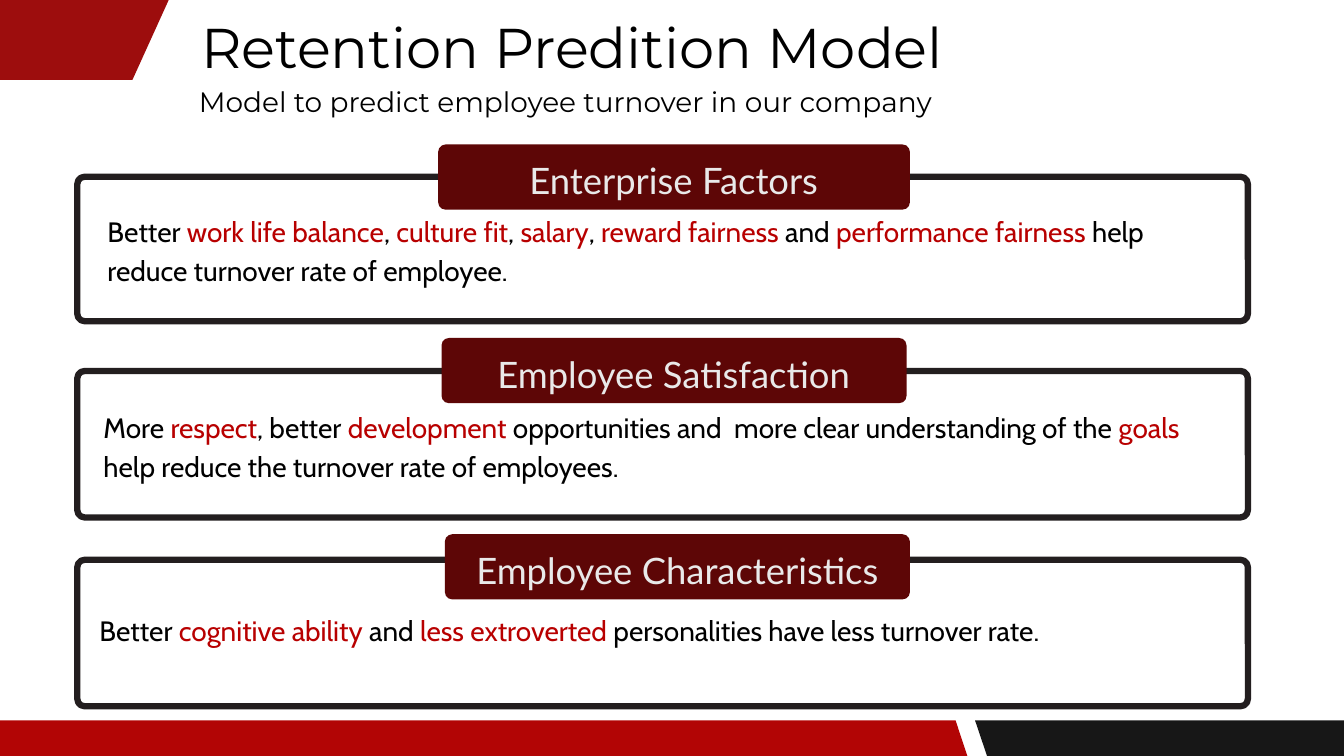
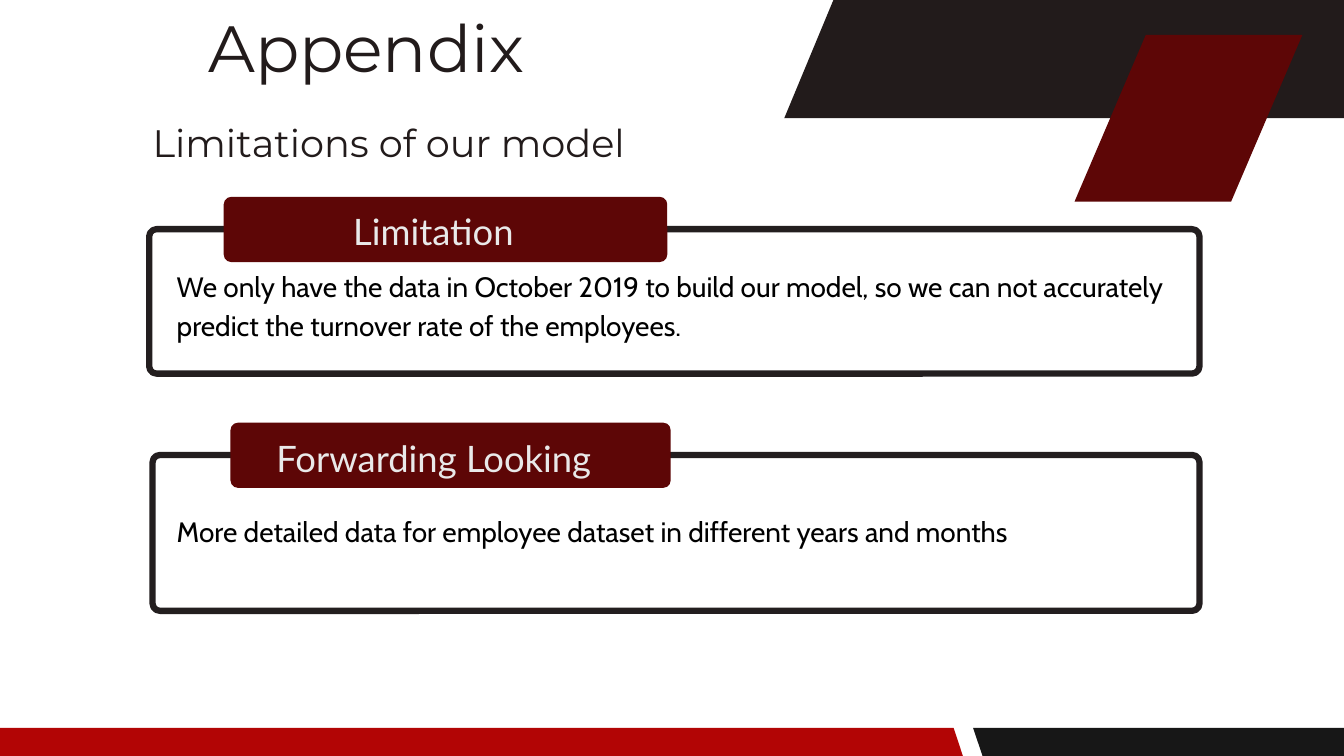
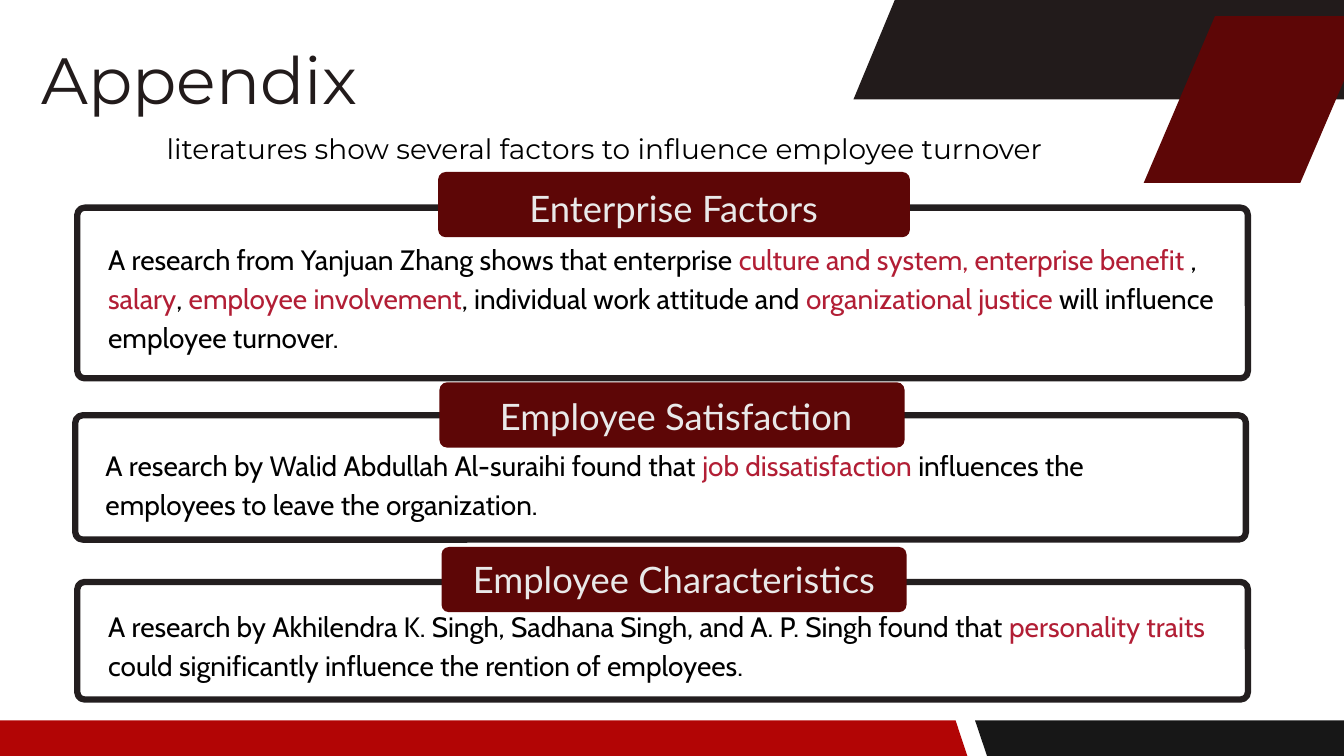
import pptx
import pptx.dml.color
import pptx.enum.shapes
import pptx.enum.text
import pptx.util

Inches = pptx.util.Inches
Align = pptx.enum.text.PP_ALIGN

RED, BLACK_BAR, CORNER_RED = "B20505", "171717", "9D0D0D"
MAROON, CHARCOAL, FRAME_LINE = "5D0606", "221B1B", "231E1F"
CRIMSON, ROSE = "B80000", "B21E35"
TAB_HEIGHT, LABEL_HEIGHT, CORNER_RADIUS = 0.97, 0.8, 0.11

TITLE = {"name": "Montserrat", "size": 60, "color": "000000", "spacing": 84, "align": Align.CENTER}
APPENDIX_TITLE = {"name": "Montserrat", "size": 70, "color": CHARCOAL, "spacing": 98, "align": Align.LEFT}
SUBTITLE = {"name": "Montserrat", "size": 30, "color": "000000", "spacing": 42, "align": Align.LEFT}
LARGE_SUBTITLE = {**SUBTITLE, "size": 41, "color": CHARCOAL, "spacing": 57.4}
LABEL = {"name": "Lato", "size": 39, "color": "E9E9E9", "spacing": 61.2, "align": Align.CENTER}
BODY = {"name": "Cabin", "size": 30, "color": "000000", "spacing": 42, "align": Align.LEFT}


def rgb(value):
    return pptx.dml.color.RGBColor.from_string(value)


def set_attributes(target, values):
    for name, value in values.items():
        setattr(target, name, value)


def write_text(shape, text, style, accent=CRIMSON):
    frame = shape.text_frame
    set_attributes(frame, {
        "margin_left": 0, "margin_top": 0, "margin_right": 0, "margin_bottom": 0,
        "word_wrap": True, "auto_size": pptx.enum.text.MSO_AUTO_SIZE.NONE,
        "vertical_anchor": pptx.enum.text.MSO_ANCHOR.TOP,
    })
    para = frame.paragraphs[0]
    set_attributes(para, {
        "alignment": style["align"], "space_before": pptx.util.Pt(0),
        "line_spacing": pptx.util.Pt(style["spacing"]),
    })
    for index, piece in enumerate(text.split("*")):
        if piece:
            span = para.add_run()
            span.text = piece
            set_attributes(span.font, {"name": style["name"], "size": pptx.util.Pt(style["size"])})
            span.font.color.rgb = rgb(accent if index % 2 else style["color"])


def add_text(slide, place, text, style, accent=CRIMSON):
    box = slide.shapes.add_textbox(*map(Inches, place))
    write_text(box, text, style, accent)


def fill_placeholder(shape, place, text, style):
    set_attributes(shape, dict(zip(("left", "top", "width", "height"), map(Inches, place))))
    write_text(shape, text, style)


def add_slab(slide, left, top, width, height, lean, color):
    corners = [(left, top), (left + width, top),
               (left + width + lean, top + height), (left + lean, top + height)]
    points = [(Inches(x), Inches(y)) for x, y in corners]
    builder = slide.shapes.build_freeform(*points[0], scale=1.0)
    builder.add_line_segments(points[1:], close=True)
    slab = builder.convert_to_shape()
    slab.shadow.inherit = False
    slab.fill.solid()
    slab.fill.fore_color.rgb = rgb(color)
    slab.line.fill.background()


def add_rounded(slide, place, fill=None, line=None):
    kind = pptx.enum.shapes.MSO_SHAPE.ROUNDED_RECTANGLE
    shape = slide.shapes.add_shape(kind, *map(Inches, place))
    shape.adjustments[0] = CORNER_RADIUS / min(place[2:])
    shape.shadow.inherit = False
    if fill:
        shape.fill.solid()
        shape.fill.fore_color.rgb = rgb(fill)
    else:
        shape.fill.background()
    if line:
        shape.line.color.rgb = rgb(line)
        shape.line.width = pptx.util.Pt(6.75)
    else:
        shape.line.fill.background()


def add_footer(slide, left=-1.47, top=10.72):
    add_slab(slide, left, top, 15.69, 1.48, 0.49, RED)
    add_slab(slide, left + 15.98, top, 15.93, 1.48, 0.5, BLACK_BAR)


def add_banner(slide, left, top):
    add_slab(slide, left, top, 12.1, 1.9, -0.79, CHARCOAL)
    add_slab(slide, left + 4.59, top + 0.66, 2.33, 2.48, -1.06, MAROON)


def add_card(slide, frame, tab, label_place, label, body_place, body, accent=CRIMSON):
    add_rounded(slide, frame, line=FRAME_LINE)
    add_text(slide, body_place, body, BODY, accent)
    add_rounded(slide, (*tab, TAB_HEIGHT), fill=MAROON)
    add_text(slide, (*label_place, LABEL_HEIGHT), label, LABEL)


def add_page(deck, title, subtitle):
    page = deck.slides.add_slide(deck.slide_layouts[0])
    fill_placeholder(page.shapes.title, *title)
    fill_placeholder(page.placeholders[1], *subtitle)
    return page


def build_model(deck):
    page = add_page(
        deck,
        ((2.72, 0.02, 11.8, 1.14), "Retention Predition Model ", TITLE),
        ((2.96, 1.17, 17, 0.56), "Model to predict employee turnover in our company", SUBTITLE))
    add_slab(page, -1.97, 0, 4.48, 1.19, -0.54, CORNER_RED)
    add_footer(page)
    add_card(page, (1.15, 2.63, 17.42, 2.15), (6.52, 2.15, 7.02),
             (6.78, 2.15, 6.49), "Enterprise Factors", (1.6, 3.11, 16.64, 1.16),
             "Better *work life balance*, *culture fit*, *salary*, *reward fairness* and "
             "*performance fairness* help reduce turnover rate of employee.")
    add_card(page, (1.15, 5.52, 17.42, 2.18), (6.57, 5.03, 6.92),
             (6.6, 5.04, 6.85), "Employee Satisfaction", (1.54, 6.02, 16.76, 1.16),
             "More *respect*, better *development *opportunities and  more clear understanding "
             "of the *goals* help reduce the turnover rate of employees.")
    add_card(page, (1.15, 8.33, 17.42, 2.18), (6.62, 7.95, 6.92),
             (6.67, 7.96, 6.82), "Employee Characteristics", (1.48, 9.05, 16.82, 0.58),
             "Better *cognitive ability* and* less extroverted* personalities have less turnover rate.")


def build_limitations(deck):
    page = add_page(
        deck,
        ((3.1, -0.09, 6.71, 1.32), "Appendix", APPENDIX_TITLE),
        ((2.27, 1.66, 15.08, 0.76), "Limitations of our model", LARGE_SUBTITLE))
    add_footer(page, -1.5, 10.83)
    add_card(page, (2.22, 3.41, 15.63, 2.15), (3.33, 2.93, 6.6),
             (4.55, 2.91, 3.8), "Limitation", (2.63, 3.92, 14.86, 1.16),
             "We only have the data in October 2019 to build our model, so we can not "
             "accurately predict the turnover rate of the employees.")
    add_card(page, (2.27, 6.77, 15.58, 2.32), (3.43, 6.29, 6.55),
             (3.62, 6.29, 5.67), "Forwarding Looking", (2.63, 7.58, 14.86, 0.58),
             "More detailed data for employee dataset in different years and months")
    add_banner(page, 12.46, -0.14)


def build_literature(deck):
    page = add_page(
        deck,
        ((0.62, 0.39, 6.66, 1.32), "Appendix", APPENDIX_TITLE),
        ((2.48, 1.88, 17.35, 0.56),
         "literatures show several factors to influence employee turnover", SUBTITLE))
    add_footer(page)
    add_card(page, (1.15, 3.09, 17.42, 2.54), (6.52, 2.56, 7.02),
             (6.78, 2.57, 6.49), "Enterprise Factors", (1.61, 3.52, 17.03, 1.73),
             "A research from Yanjuan Zhang shows that enterprise *culture and system, "
             "enterprise benefit *, *salary*, *employee involvement*, individual work attitude "
             "and *organizational justice *will influence employee turnover.", ROSE)
    add_card(page, (1.12, 6.18, 17.42, 1.85), (6.54, 5.69, 6.92),
             (6.87, 5.67, 6.38), "Employee Satisfaction", (1.57, 6.59, 16.53, 1.16),
             "A research by Walid Abdullah Al-suraihi found that *job dissatisfaction* "
             "influences the employees to leave the organization.", ROSE)
    add_card(page, (1.15, 8.66, 17.42, 1.75), (6.57, 8.14, 6.92),
             (6.41, 8.09, 7.24), "Employee Characteristics", (1.61, 8.98, 16.84, 1.16),
             "A research by Akhilendra K. Singh, Sadhana Singh, and A. P. Singh found that "
             "*personality traits *could significantly influence the rention of employees.", ROSE)
    add_banner(page, 13.49, -0.42)


def main():
    deck = pptx.Presentation()
    set_attributes(deck, {"slide_width": Inches(20), "slide_height": Inches(11.25)})
    build_model(deck)
    build_limitations(deck)
    build_literature(deck)
    deck.save("out.pptx")


if __name__ == "__main__":
    main()
